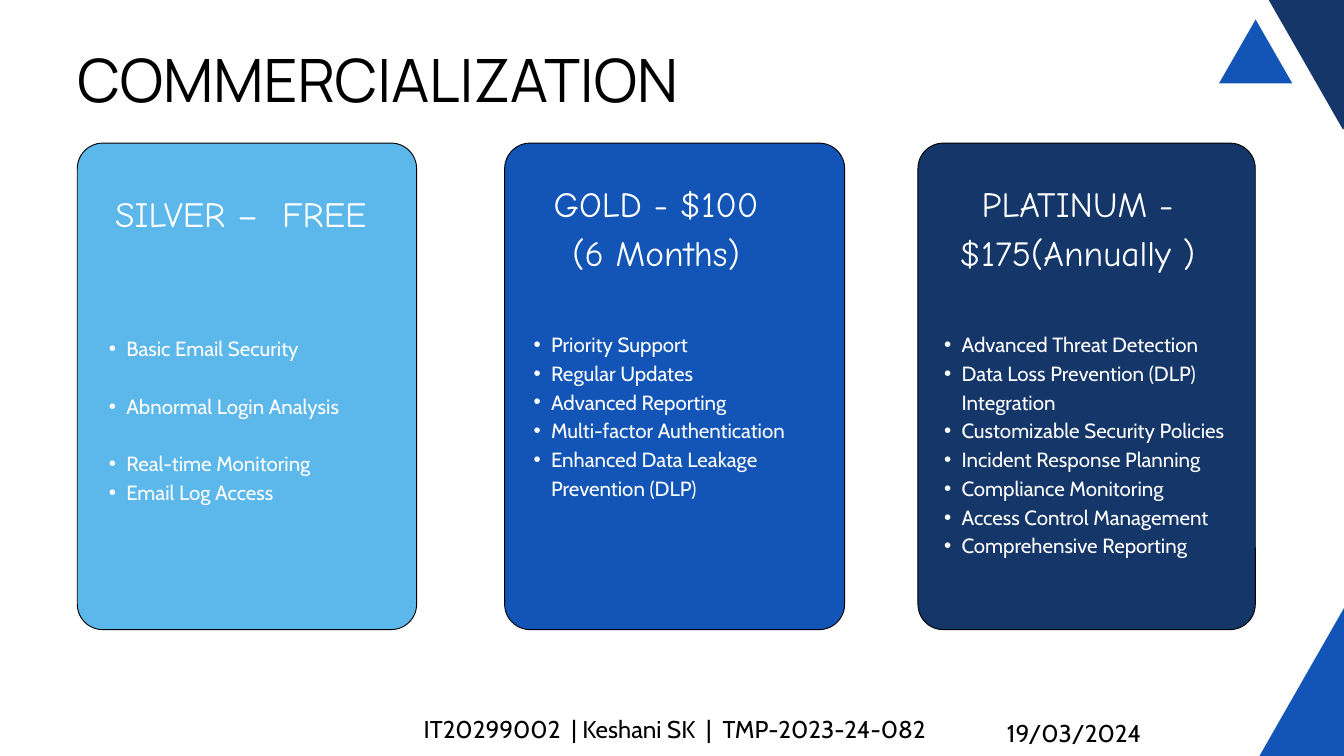
import dataclasses

import pptx
import pptx.dml.color
import pptx.enum.shapes
import pptx.enum.text
import pptx.oxml.ns
import pptx.util
from lxml import etree

COLUMNS, ROWS = 80, 45
ALIGN = pptx.enum.text.PP_ALIGN
SHAPE = pptx.enum.shapes.MSO_SHAPE


@dataclasses.dataclass(frozen=True)
class Theme:
    sky: str = "5CB7EB"
    blue: str = "1255B6"
    navy: str = "153669"
    black: str = "000000"
    white: str = "FFFFFF"
    title: tuple = ("Manrope", 64, 76.2)
    heading: tuple = ("Comic Neue", 38, 53.2)
    footer: tuple = ("Cabin", 26, 36.4)
    feature: tuple = ("Cabin", 22, 30.8)


class PricingSlide:
    """Draws styled elements on one slide, placed on a grid of columns and rows."""

    def __init__(self, deck, theme):
        self.theme = theme
        self.cell_width = deck.slide_width / COLUMNS
        self.cell_height = deck.slide_height / ROWS
        self.slide = deck.slides.add_slide(deck.slide_layouts[6])

    def place(self, column, row, columns, rows):
        return (round(column * self.cell_width), round(row * self.cell_height),
                round(columns * self.cell_width), round(rows * self.cell_height))

    def shape(self, preset, area, color):
        figure = self.slide.shapes.add_shape(preset, *self.place(*area))
        figure.shadow.inherit = False
        figure.fill.solid()
        figure.fill.fore_color.rgb = pptx.dml.color.RGBColor.from_string(color)
        return figure

    def triangle(self, area, color, rotation=0):
        corner = self.shape(SHAPE.ISOSCELES_TRIANGLE, area, color)
        corner.line.fill.background()
        corner.rotation = rotation

    def card(self, area, color):
        panel = self.shape(SHAPE.ROUNDED_RECTANGLE, area, color)
        panel.adjustments[0] = 0.075
        panel.line.color.rgb = pptx.dml.color.RGBColor.from_string(self.theme.black)
        panel.line.width = pptx.util.Pt(1)

    def text(self, area, lines, style, color, align=ALIGN.LEFT, bullets=False, spaced=()):
        face, size, leading = style
        frame = self.slide.shapes.add_textbox(*self.place(*area)).text_frame
        frame.margin_left = frame.margin_right = frame.margin_top = frame.margin_bottom = 0
        frame.word_wrap = True
        frame.auto_size = pptx.enum.text.MSO_AUTO_SIZE.SHAPE_TO_FIT_TEXT
        frame.text = "\n".join(lines)
        for line, paragraph in zip(lines, frame.paragraphs):
            paragraph.alignment = align
            paragraph.line_spacing = pptx.util.Pt(leading)
            if line in spaced:
                paragraph.space_before = pptx.util.Pt(leading)
            if bullets:
                self.bullet(paragraph)
            paragraph.font.name = face
            paragraph.font.size = pptx.util.Pt(size)
            paragraph.font.color.rgb = pptx.dml.color.RGBColor.from_string(color)

    def bullet(self, paragraph):
        paragraph.level = 1
        properties = paragraph._p.get_or_add_pPr()
        properties.set("marL", str(pptx.util.Inches(0.52)))
        properties.set("indent", str(pptx.util.Inches(-0.26)))
        qn = pptx.oxml.ns.qn
        etree.SubElement(properties, qn("a:buFont"), typeface="Arial")
        etree.SubElement(properties, qn("a:buChar"), char="•")

    def plan(self, color, card, heading_area, heading, feature_area, features, spaced=()):
        left, width = card
        self.card((left, 8.52, width, 28.96), color)
        self.text(heading_area, heading, self.theme.heading, self.theme.white, ALIGN.CENTER)
        self.text(feature_area, features, self.theme.feature, self.theme.white,
                  bullets=True, spaced=spaced)


def main():
    deck = pptx.Presentation()
    deck.slide_width = pptx.util.Inches(20)
    deck.slide_height = pptx.util.Inches(11.25)
    theme = Theme()
    page = PricingSlide(deck, theme)

    page.triangle((72.04, 28.6, 24.6, 21.52), theme.blue)
    page.triangle((75.52, 0, 8.84, 7.72), theme.navy, rotation=180)
    page.triangle((72.56, 1.16, 4.36, 3.8), theme.blue)

    page.text((4.6, 2.6, 41.36, 4.48), ["COMMERCIALIZATION"], theme.title, theme.black)

    page.plan(theme.sky, (4.6, 20.2),
              (5.04, 11, 18.6, 2.84), ["SILVER –  FREE"],
              (5.44, 19.76, 16.72, 10.28),
              ["Basic Email Security", "Abnormal Login Analysis",
               "Real-time Monitoring", "Email Log Access"],
              spaced=("Abnormal Login Analysis", "Real-time Monitoring"))
    page.plan(theme.blue, (30.04, 20.24),
              (29.76, 10.4, 18.6, 5.76), ["GOLD - $100", "(6 Months)"],
              (30.72, 19.52, 18.04, 12),
              ["Priority Support", "Regular Updates", "Advanced Reporting",
               "Multi-factor Authentication", "Enhanced Data Leakage Prevention (DLP)"])
    page.plan(theme.navy, (54.64, 20.08),
              (54.84, 10.4, 18.6, 5.76), ["PLATINUM - $175(Annually )"],
              (55.16, 19.52, 20.08, 15.44),
              ["Advanced Threat Detection", "Data Loss Prevention (DLP) Integration",
               "Customizable Security Policies", "Incident Response Planning",
               "Compliance Monitoring", "Access Control Management",
               "Comprehensive Reporting"])

    page.text((21.36, 42.24, 37.64, 2.04), ["IT20299002  | Keshani SK  |  TMP-2023-24-082"],
              theme.footer, theme.black, ALIGN.CENTER)
    page.text((59.4, 42.44, 9.08, 2.04), ["19/03/2024"],
              theme.footer, theme.black, ALIGN.CENTER)

    deck.save("out.pptx")


if __name__ == "__main__":
    main()
